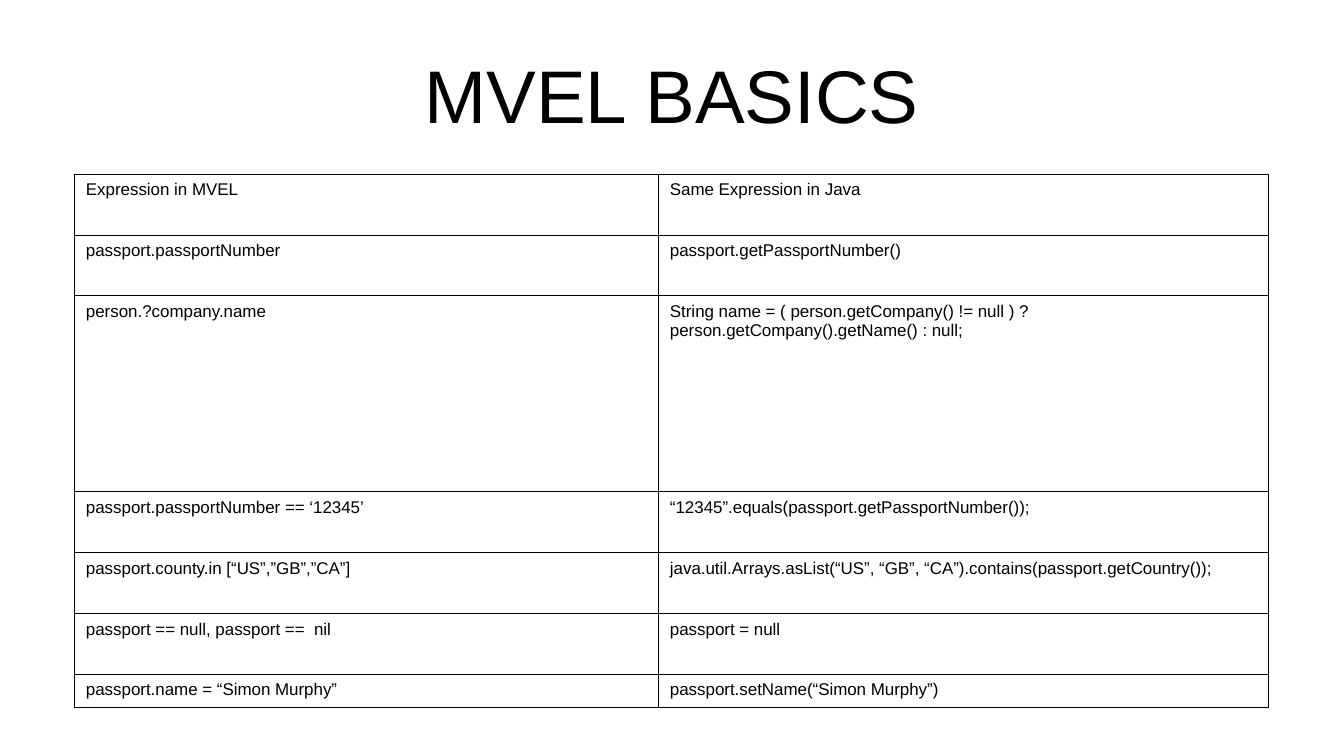
from lxml.etree import SubElement
from pptx import Presentation
from pptx.dml.color import RGBColor
from pptx.enum.text import MSO_ANCHOR, PP_ALIGN
from pptx.oxml.ns import qn
from pptx.util import Pt

PX = 7495
INK = "000000"
ROWS = [
    (61, "Expression in MVEL", "Same Expression in Java"),
    (61, "passport.passportNumber", "passport.getPassportNumber()"),
    (196, "person.?company.name",
     "String name = ( person.getCompany() != null ) ? person.getCompany().getName() : null;"),
    (61, "passport.passportNumber == ‘12345’", "“12345”.equals(passport.getPassportNumber());"),
    (61, "passport.county.in [“US”,”GB”,”CA”]",
     "java.util.Arrays.asList(“US”, “GB”, “CA”).contains(passport.getCountry());"),
    (61, "passport == null, passport ==  nil", "passport = null"),
    (33, "passport.name = “Simon Murphy”", "passport.setName(“Simon Murphy”)"),
]
COLS = [584, 610]


def write(para, text, size, color):
    run = para.add_run()
    run.text = text
    run.font.name = "Arial"
    run.font.size = Pt(size)
    run.font.color.rgb = RGBColor.from_string(color)


def edge(cell, color):
    props = cell._tc.get_or_add_tcPr()
    for side in ("a:lnL", "a:lnR", "a:lnT", "a:lnB"):
        line = SubElement(props, qn(side), w=str(Pt(0.57)))
        fill = SubElement(line, qn("a:solidFill"))
        SubElement(fill, qn("a:srgbClr"), val=color)


deck = Presentation()
deck.slide_width = 1344 * PX
deck.slide_height = 756 * PX
slide = deck.slides.add_slide(deck.slide_layouts[5])

title = slide.shapes.title
title.left, title.top, title.width, title.height = [n * PX for n in (67, 30, 1210, 127)]
frame = title.text_frame
frame.margin_left = frame.margin_right = frame.margin_top = frame.margin_bottom = 0
frame.vertical_anchor = MSO_ANCHOR.MIDDLE
frame.paragraphs[0].alignment = PP_ALIGN.CENTER
write(frame.paragraphs[0], "MVEL BASICS", 44, INK)

high = sum(row[0] for row in ROWS)
table = slide.shapes.add_table(
    len(ROWS), len(COLS), 74 * PX, 174 * PX, sum(COLS) * PX, high * PX).table
table.first_row = False
table.horz_banding = False
for col, width in zip(table.columns, COLS):
    col.width = width * PX
for row, (height, *texts) in zip(table.rows, ROWS):
    row.height = height * PX
    for cell, text in zip(row.cells, texts):
        cell.margin_left = cell.margin_right = 12 * PX
        cell.margin_top = cell.margin_bottom = 6 * PX
        edge(cell, INK)
        cell.fill.background()
        write(cell.text_frame.paragraphs[0], text, 10, INK)

deck.save("out.pptx")
